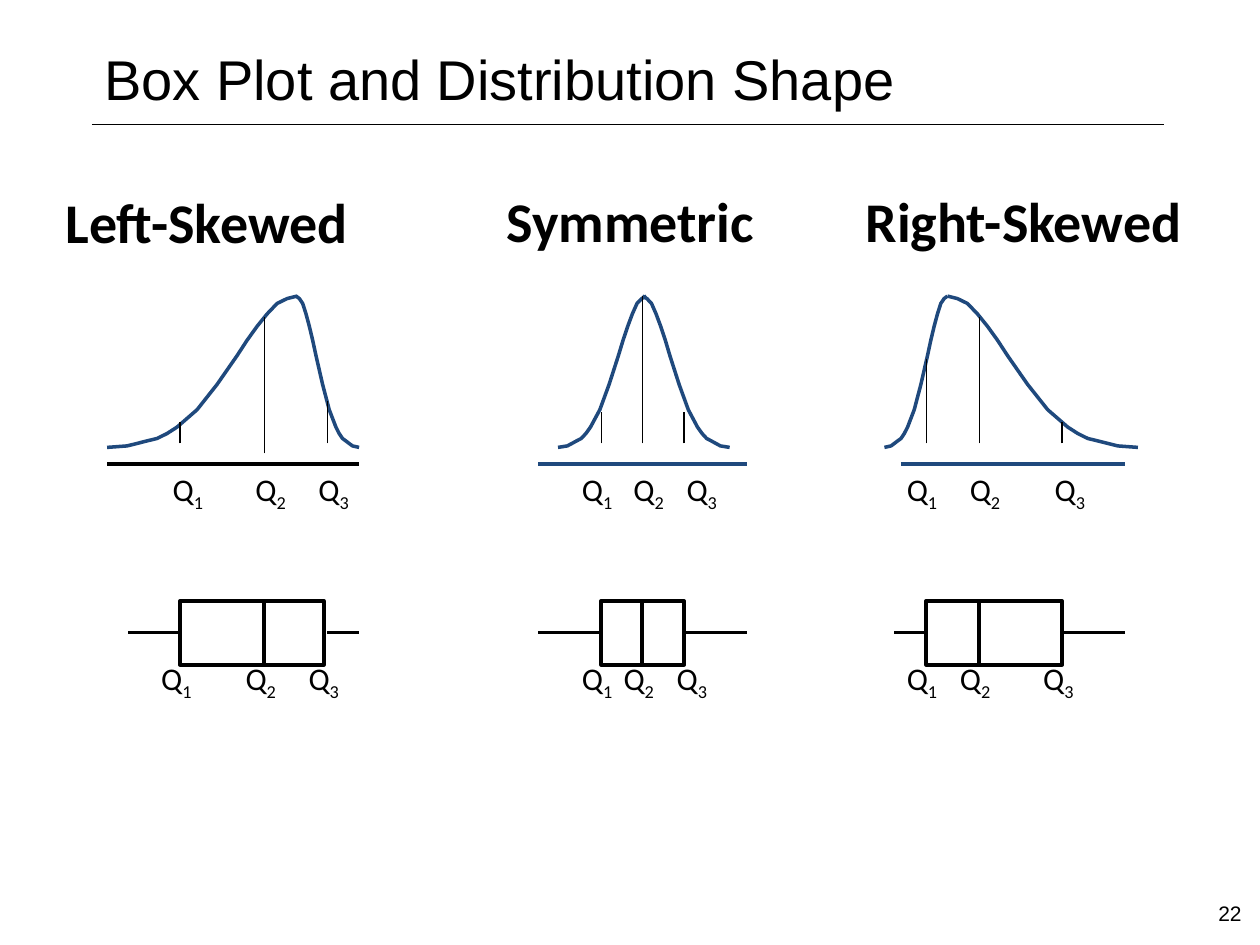
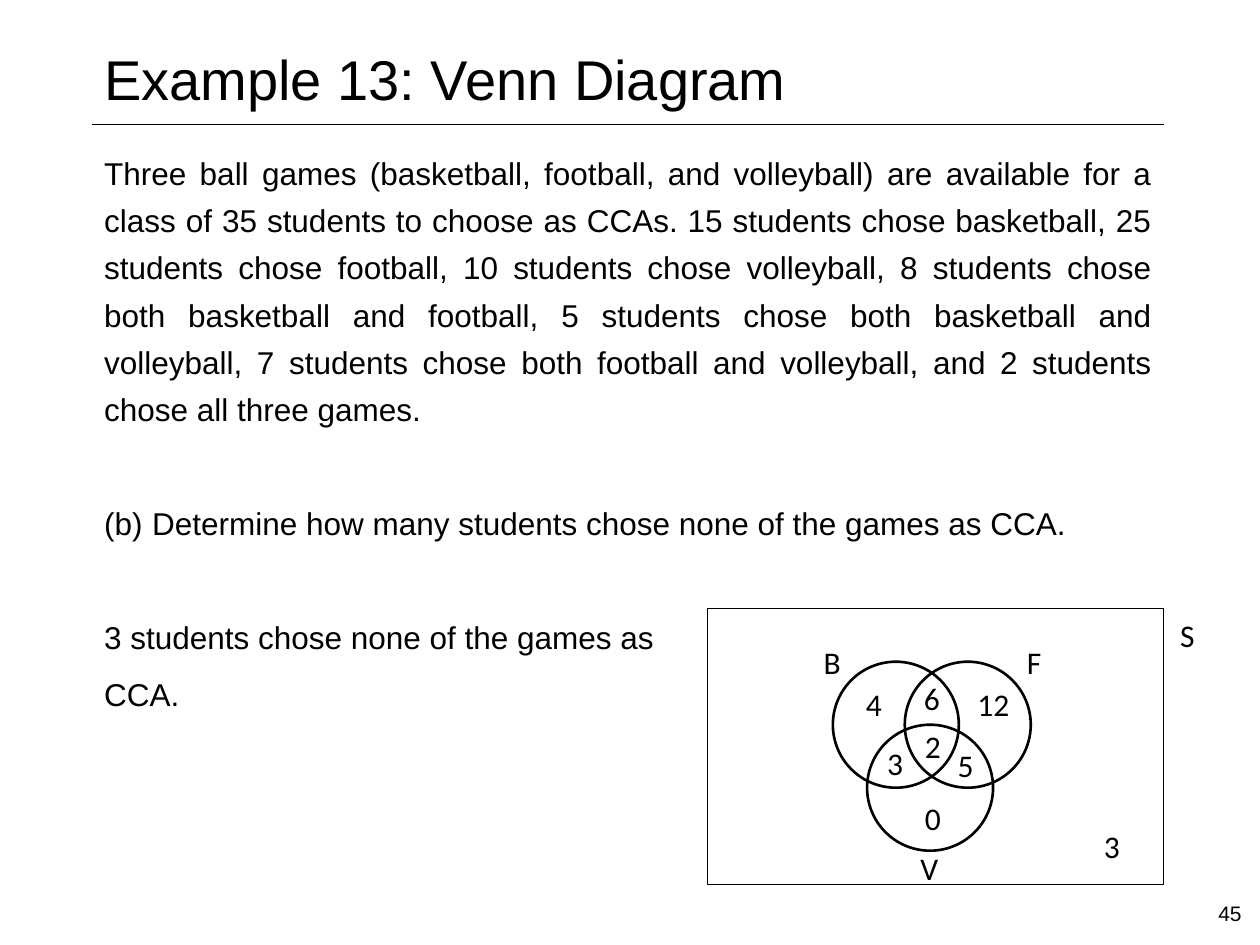
from collections import namedtuple

from lxml import etree
from pptx import Presentation
from pptx.dml.color import RGBColor
from pptx.enum.shapes import MSO_CONNECTOR as Link, MSO_SHAPE as Form
from pptx.enum.text import MSO_ANCHOR as Anchor, PP_ALIGN as Align
from pptx.oxml.ns import qn
from pptx.util import Cm, Pt

BLACK = RGBColor(0x00, 0x00, 0x00)
BLUE = RGBColor(0x1F, 0x49, 0x7D)

# All places and sizes below are in centimetres
FOOT, AXIS, BOX_TOP, BOX_LOW, MID = 9.02, 9.35, 12.12, 13.4, 12.75
LABEL_TOP = 13.16

# Half of a bell curve: steps from foot to peak (of 19) and heights
STEPS = (0, 2, 3, 4, 5, 6, 7, 9, 11, 13, 14, 15, 16, 17, 18, 19)
RISE = (0, .03, .08, .13, .18, .28, .41, .76, 1.27, 1.85, 2.16, 2.44,
        2.69, 2.9, 3, 3.05)

# halves: foot and peak x; stems: x, top, bottom; marks, tags: label lefts
Panel = namedtuple("Panel", "name head halves axis tint stems marks "
                            "box reach tags")
PANELS = (
    Panel("Left-Skewed", (1.07, 3.66, 7.14),
          ((2.16, 5.99), (7.24, 5.97)), (2.16, 7.24), BLACK,
          ((3.63, 8.51, 8.94), (5.33, 6.4, 9.14), (6.6, 8.08, 8.94)),
          (3.23, 4.9, 6.17), (3.63, 6.53), (2.59, 7.24), (3, 4.7, 5.97)),
    Panel("Symmetric", (9.96, 3.63, 6.27),
          ((11.25, 13.03), (14.71, 12.95)), (10.85, 15.06), BLUE,
          ((12.12, 8.31, 8.94), (12.95, 5.97, 8.94), (13.79, 8.31, 8.94)),
          (11.48, 12.52, 13.59), (12.12, 13.79), (10.85, 15.06),
          (11.48, 12.32, 13.39)),
    Panel("Right-Skewed", (17.2, 3.63, 7.95),
          ((17.83, 19.1), (22.94, 19.1)), (18.16, 22.68), BLUE,
          ((18.67, 7.24, 8.94), (19.74, 6.4, 8.94), (21.41, 8.51, 8.94)),
          (18.03, 19.3, 21.01), (18.67, 21.41), (18.03, 22.68),
          (18.03, 19.1, 20.78)),
)

RINGS = ((18.24, 13.34), (16.79, 13.34), (17.48, 14.61))
COUNTS = (
    ("B", 15.95, 12.83), ("F", 20.02, 12.83), ("V", 17.91, 16.99),
    ("S", 23.11, 12.29), ("2", 17.98, 14.53), ("6", 17.96, 13.56),
    ("3", 17.22, 14.88), ("5", 18.64, 14.91), ("4", 16.79, 13.69),
    ("12", 19.2, 13.69), ("0", 17.98, 15.98), ("3", 21.59, 16.54),
)

STORY = (
    "Three ball games (basketball, football, and volleyball) are available "
    "for a class of 35 students to choose as CCAs. 15 students chose "
    "basketball, 25 students chose football, 10 students chose volleyball, "
    "8 students chose both basketball and football, 5 students chose both "
    "basketball and volleyball, 7 students chose both football and "
    "volleyball, and 2 students chose all three games."
)
TASK = "Determine how many students chose none of the games as CCA."
REPLY = ("3 students chose none of the games as", "CCA.")


# Basic elements
def style(para, size, face, bold=False):
    for run in para.runs:
        font = run.font
        font.size, font.name, font.bold = Pt(size), face, bold
        font.color.rgb = BLACK


def add_text(slide, text, x, y, w, h, size=18, face="Calibri", bold=False,
             align=Align.LEFT, wrap=True):
    box = slide.shapes.add_textbox(Cm(x), Cm(y), Cm(w), Cm(h))
    frame = box.text_frame
    frame.word_wrap = wrap
    frame.text = text
    para = frame.paragraphs[0]
    para.alignment = align
    style(para, size, face, bold)
    return frame


def add_line(slide, x1, y1, x2, y2, width, color=BLACK):
    line = slide.shapes.add_connector(Link.STRAIGHT, Cm(x1), Cm(y1),
                                      Cm(x2), Cm(y2))
    line.line.width = Pt(width)
    line.line.color.rgb = color
    etree.SubElement(line._element.spPr, qn("a:effectLst"))


def outline(shape, width, color=BLACK):
    shape.shadow.inherit = False
    shape.fill.background()
    shape.line.width = Pt(width)
    shape.line.color.rgb = color


def add_form(slide, form, x, y, w, h, width):
    shape = slide.shapes.add_shape(form, Cm(x), Cm(y), Cm(w), Cm(h))
    outline(shape, width)


def add_slide(deck, title, page):
    slide = deck.slides.add_slide(deck.slide_layouts[6])
    add_line(slide, 1.85, 2.51, 23.47, 2.51, .25)
    frame = add_text(slide, title, 1.85, .74, 20.45, 1.68, 32, "Arial")
    frame.vertical_anchor = Anchor.MIDDLE
    add_text(slide, page, 24.31, 18.03, 1.09, 1.02, 12, "Arial")
    return slide


# Distribution panels
def add_half(slide, foot, peak):
    spots = [(Cm(foot + (peak - foot) * step / 19), Cm(FOOT - rise))
             for step, rise in zip(STEPS, RISE)]
    build = slide.shapes.build_freeform(*spots[0])
    build.add_line_segments(spots[1:], close=False)
    outline(build.convert_to_shape(), 2, BLUE)


def add_marks(slide, lefts, top):
    for rank, x in enumerate(lefts, 1):
        frame = add_text(slide, "Q", x, top, 1.27, 1.02)
        para = frame.paragraphs[0]
        para.add_run().text = str(rank)
        style(para, 18, "Calibri")
        para.runs[1]._r.get_or_add_rPr().set("baseline", "-25000")


def add_panel(slide, panel):
    x, y, w = panel.head
    add_text(slide, panel.name, x, y, w, 1.6, 32, bold=True, wrap=False)
    # Curve, axis and quartile stems
    for foot, peak in panel.halves:
        add_half(slide, foot, peak)
    left, right = panel.axis
    add_line(slide, left, AXIS, right, AXIS, 2.25, panel.tint)
    for x, top, low in panel.stems:
        add_line(slide, x, low, x, top, .75)
    add_marks(slide, panel.marks, AXIS)
    # Box plot
    left, right = panel.box
    add_form(slide, Form.RECTANGLE, left, BOX_TOP, right - left,
             BOX_LOW - BOX_TOP, 2.25)
    mid, upper = panel.stems[1][0], panel.stems[2][0]
    add_line(slide, mid, BOX_TOP, mid, BOX_LOW, 2.25)
    add_line(slide, panel.reach[0], MID, left, MID, 2.25)
    add_line(slide, upper, MID, panel.reach[1], MID, 2.25)
    add_marks(slide, panel.tags, LABEL_TOP)


# Worked example
def number(para, start):
    props = para._p.get_or_add_pPr()
    props.set("marL", str(Cm(.97)))
    props.set("indent", str(-Cm(.97)))
    font = etree.SubElement(props, qn("a:buFont"))
    font.set("typeface", "Arial")
    auto = etree.SubElement(props, qn("a:buAutoNum"))
    auto.set("type", "alphaLcParenBoth")
    auto.set("startAt", str(start))


def add_story(slide):
    frame = add_text(slide, STORY, 1.85, 2.79, 21.62, 15.9, face="Arial",
                     align=Align.JUSTIFY)
    for text in (TASK, *REPLY):
        frame.add_paragraph().text = text
    for para, gap in zip(frame.paragraphs, (6, 38, 38, 6)):
        para.line_spacing = 1.25
        para.space_before = Pt(gap)
        style(para, 18, "Arial")
    number(frame.paragraphs[1], 2)


def add_venn(slide):
    add_form(slide, Form.RECTANGLE, 14.27, 12.27, 9.19, 5.56, .75)
    for x, y in RINGS:
        add_form(slide, Form.OVAL, x, y, 2.54, 2.54, 1.5)
    for text, x, y in COUNTS:
        add_text(slide, text, x, y, 1.65, 1.02, align=Align.CENTER)


def main():
    deck = Presentation()
    deck.slide_width, deck.slide_height = Cm(25.4), Cm(19.05)

    slide = add_slide(deck, "Box Plot and Distribution Shape", "22")
    for panel in PANELS:
        add_panel(slide, panel)

    slide = add_slide(deck, "Example 13: Venn Diagram", "45")
    add_story(slide)
    add_venn(slide)

    deck.save("out.pptx")


if __name__ == "__main__":
    main()
